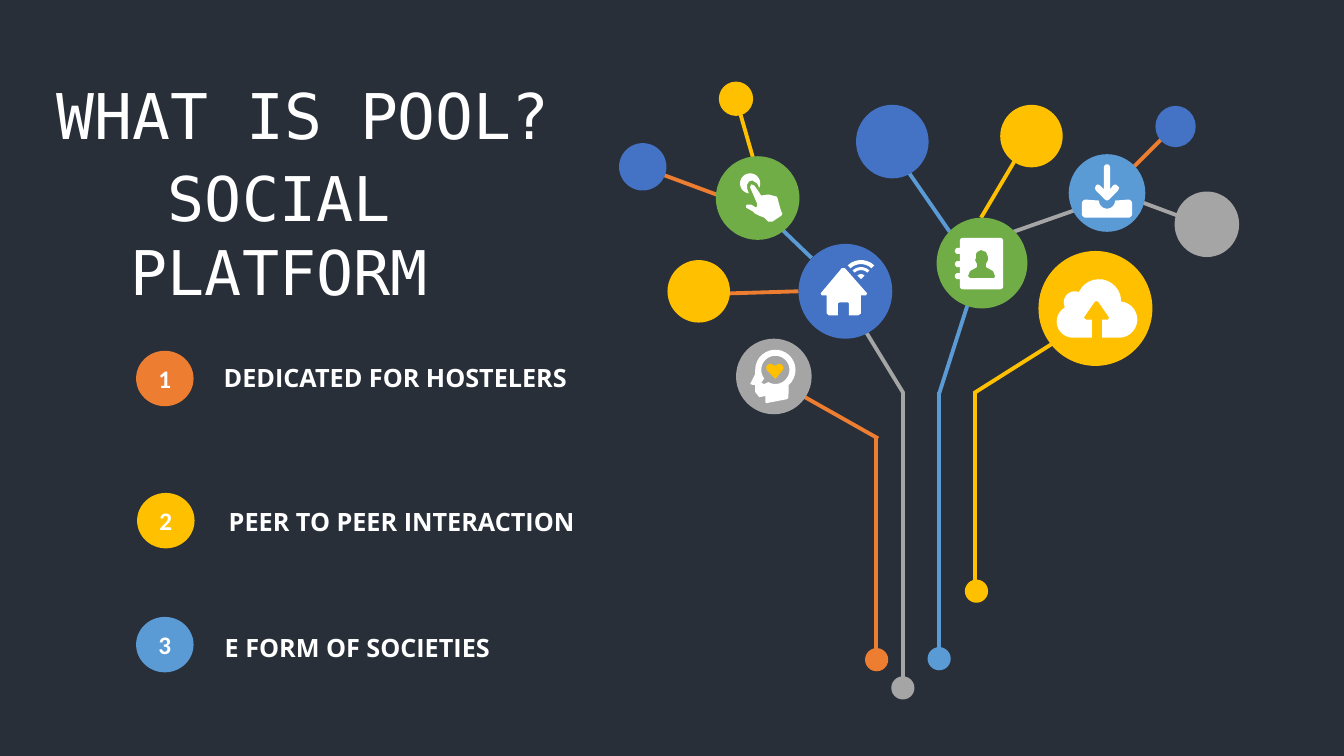
from dataclasses import dataclass
from math import cos, radians, sin

from lxml import etree
from pptx import Presentation
from pptx.dml.color import RGBColor
from pptx.enum import shapes, text
from pptx.oxml import ns
from pptx.util import Pt

PX = 9144  # 100 px to the inch

NIGHT = RGBColor(0x28, 0x2F, 0x39)
WHITE = RGBColor(0xFF, 0xFF, 0xFF)
ORANGE = RGBColor(0xED, 0x7D, 0x31)
YELLOW = RGBColor(0xFF, 0xC0, 0x00)
GREY = RGBColor(0xA5, 0xA5, 0xA5)
SKY = RGBColor(0x5B, 0x9B, 0xD5)
BLUE = RGBColor(0x44, 0x72, 0xC4)
GREEN = RGBColor(0x70, 0xAD, 0x47)

Points = list[tuple[float, float]]


@dataclass
class Branch:
    start: tuple[int, int]
    end: tuple[int, int]
    color: RGBColor


@dataclass
class Node:
    left: int
    top: int
    width: int
    height: int
    color: RGBColor


@dataclass
class Icon:
    outlines: list[Points]
    color: RGBColor = WHITE


@dataclass
class Feature:
    badge: Node
    label: str
    label_box: tuple[int, int, int, int]


# Outline helpers: angles run clockwise from the right
def arc(x: int, y: int, radius: int, start: int, end: int) -> Points:
    steps = max(4, abs(end - start) // 12)
    angles = [radians(start + (end - start) * i / steps) for i in range(steps + 1)]
    return [(x + radius * cos(a), y + radius * sin(a)) for a in angles]


def corners(left: int, top: int, right: int, bottom: int, radius: int) -> list[Points]:
    """Rounded corners, clockwise from the top right."""
    near_x, far_x = left + radius, right - radius
    near_y, far_y = top + radius, bottom - radius
    centers = [(far_x, near_y), (far_x, far_y), (near_x, far_y), (near_x, near_y)]
    return [arc(x, y, radius, 90 * i - 90, 90 * i) for i, (x, y) in enumerate(centers)]


def wave(outer: int, inner: int) -> Points:
    return arc(854, 277, outer, 226, 314) + arc(854, 277, inner, 314, 226)


# Tree
BRANCHES = [
    Branch((1112, 193), (1198, 225), GREY),
    Branch((1125, 165), (1165, 125), ORANGE),
    Branch((805, 256), (751, 204), SKY),
    Branch((869, 652), (869, 433), ORANGE),
    Branch((871, 435), (770, 378), ORANGE),
    Branch((896, 685), (896, 389), GREY),
    Branch((1005, 230), (1096, 198), GREY),
    Branch((931, 652), (931, 389), SKY),
    Branch((931, 392), (971, 267), SKY),
    Branch((967, 584), (967, 389), YELLOW),
    Branch((966, 390), (1088, 313), YELLOW),
    Branch((942, 230), (884, 146), SKY),
    Branch((973, 216), (1018, 140), YELLOW),
    Branch((841, 300), (896, 390), GREY),
    Branch((792, 289), (693, 292), ORANGE),
    Branch((724, 198), (635, 165), ORANGE),
    Branch((730, 98), (751, 171), YELLOW),
]
NODES = [
    Node(858, 643, 23, 23, ORANGE),
    Node(884, 671, 23, 23, GREY),
    Node(920, 642, 23, 23, SKY),
    Node(957, 575, 23, 23, YELLOW),
    Node(929, 216, 90, 90, GREEN),
    Node(1030, 249, 113, 114, YELLOW),
    Node(792, 242, 93, 94, BLUE),
    Node(730, 336, 75, 75, GREY),
    Node(1060, 153, 76, 77, SKY),
    Node(849, 104, 72, 73, BLUE),
    Node(1146, 105, 40, 41, BLUE),
    Node(1165, 190, 64, 65, GREY),
    Node(713, 81, 34, 34, YELLOW),
    Node(662, 258, 62, 62, YELLOW),
    Node(614, 142, 47, 47, BLUE),
    Node(992, 104, 62, 62, YELLOW),
    Node(710, 155, 83, 83, GREEN),
]

# Icons
book_tr, book_br, book_bl, book_tl = corners(952, 236, 995, 287, 3)
book_tabs = [(x, y + dy) for y in (271, 259, 246)
             for x, dy in ((952, 6), (949, 6), (947, 4), (947, 2), (949, 0), (952, 0))]
contact = [(987, 274), (986, 276), (962, 276), (960, 274), (962, 269), (969, 265),
           (969, 262), (967, 258), (968, 256), (968, 252), (969, 250), (973, 248),
           (978, 250), (980, 255), (980, 258), (978, 262), (978, 265), (985, 269)]
cloud = (arc(1064, 319, 16, 90, 240) + arc(1066, 300, 11, 180, 295)
         + arc(1090, 299, 22, 205, 355) + arc(1110, 317, 18, 275, 450))
upload_arrow = [(1093, 335), (1093, 317), (1099, 317), (1100, 315), (1089, 299),
                (1086, 299), (1075, 315), (1077, 317), (1083, 317), (1083, 335)]
house = [(860, 291), (838, 266), (835, 266), (814, 291), (815, 293), (820, 293),
         (820, 311), (822, 313), (831, 313), (831, 301), (833, 300), (841, 300),
         (842, 301), (842, 313), (851, 313), (854, 311), (854, 293), (859, 293)]
head = arc(769, 367, 20, 180, 409) + [
    (782, 394), (781, 396), (760, 400), (759, 399), (759, 393), (753, 394),
    (749, 389), (749, 382), (747, 382), (744, 381), (745, 379), (749, 371)]
thought = arc(769, 367, 14, 142, 480) + [(758, 381), (755, 380)]
heart = arc(764, 365, 4, 130, 320) + arc(773, 365, 4, 220, 410) + [(769, 376)]
tray = sum(corners(1073, 198, 1123, 216, 4), []) + arc(1098, 199, 8, 180, 0)
download_arrow = [(1104, 184), (1101, 188)] + arc(1098, 166, 3, 360, 180) + [
    (1095, 188), (1091, 184), (1089, 183), (1087, 184), (1086, 187), (1087, 189),
    (1096, 198), (1098, 199), (1100, 198), (1109, 189), (1110, 186), (1108, 184),
    (1106, 183)]
touch_ring = arc(744, 182, 10, 98, 392) + [
    (753, 186), (751, 182), (746, 179), (743, 180), (741, 183), (741, 187), (742, 190)]
hand = [(776, 212), (775, 214), (766, 220), (762, 220), (758, 216), (753, 214),
        (749, 212), (747, 210), (740, 206), (740, 204), (741, 203), (745, 203),
        (750, 206), (751, 204), (751, 202), (744, 186), (745, 183), (748, 184),
        (751, 188), (755, 194), (762, 193), (770, 195), (771, 196), (774, 207),
        (775, 210)]
ICONS = [
    Icon([book_tr + book_br + book_bl + book_tabs + book_tl, contact]),
    Icon([cloud + upload_arrow]),
    Icon([house]),
    Icon([wave(19, 15), wave(12, 9), arc(854, 277, 5, 226, 314) + [(854, 277)]]),
    Icon([head, thought]),
    Icon([heart], YELLOW),
    Icon([tray]),
    Icon([download_arrow]),
    Icon([touch_ring]),
    Icon([hand]),
]

FEATURES = [
    Feature(Node(135, 348, 57, 55, ORANGE), "DEDICATED FOR HOSTELERS", (212, 355, 364, 40)),
    Feature(Node(136, 489, 57, 55, YELLOW), "PEER TO PEER INTERACTION", (217, 497, 382, 40)),
    Feature(Node(135, 612, 57, 55, SKY), "E FORM OF SOCIETIES", (213, 622, 290, 40)),
]


def paint(shape, color: RGBColor) -> None:
    shape.shadow.inherit = False
    shape.fill.solid()
    shape.fill.fore_color.rgb = color
    shape.line.fill.background()


def draw_branch(slide, branch: Branch) -> None:
    ends = [v * PX for v in branch.start + branch.end]
    line = slide.shapes.add_connector(shapes.MSO_CONNECTOR.STRAIGHT, *ends)
    line.line.color.rgb = branch.color
    line.line.width = Pt(2.75)
    etree.SubElement(line._element.spPr, ns.qn("a:effectLst"))


def draw_node(slide, node: Node):
    box = [v * PX for v in (node.left, node.top, node.width, node.height)]
    circle = slide.shapes.add_shape(shapes.MSO_SHAPE.OVAL, *box)
    paint(circle, node.color)
    return circle


def draw_icon(slide, icon: Icon) -> None:
    contours = [[(x * PX, y * PX) for x, y in outline] for outline in icon.outlines]
    builder = slide.shapes.build_freeform(*contours[0][0])
    for i, contour in enumerate(contours):
        if i:
            builder.move_to(*contour[0])
        builder.add_line_segments(contour[1:], close=True)
    paint(builder.convert_to_shape(), icon.color)


def write(shape, words: str, font: str, size: int, align, bold: bool = False,
          anchor=text.MSO_ANCHOR.TOP) -> None:
    frame = shape.text_frame
    frame.word_wrap = True
    frame.auto_size = text.MSO_AUTO_SIZE.NONE
    frame.vertical_anchor = anchor
    frame.text = words
    paragraph = frame.paragraphs[0]
    paragraph.alignment = align
    paragraph.space_before = Pt(0)
    paragraph.font.name = font
    paragraph.font.size = Pt(size)
    paragraph.font.bold = bold
    paragraph.font.color.rgb = WHITE


def place(shape, left: int, top: int, width: int, height: int) -> None:
    shape.left, shape.top = left * PX, top * PX
    shape.width, shape.height = width * PX, height * PX


def main() -> None:
    deck = Presentation()
    deck.slide_width, deck.slide_height = 1333 * PX, 750 * PX
    slide = deck.slides.add_slide(deck.slide_layouts[0])
    slide.background.fill.solid()
    slide.background.fill.fore_color.rgb = NIGHT

    # Headings
    question, answer = slide.placeholders
    place(question, 46, 71, 553, 86)
    write(question, "WHAT IS POOL?", "DejaVu Sans Mono", 45, text.PP_ALIGN.LEFT)
    place(answer, 20, 154, 514, 158)
    write(answer, "SOCIAL PLATFORM", "DejaVu Sans Mono", 44, text.PP_ALIGN.CENTER)

    # Tree with its icons
    for branch in BRANCHES:
        draw_branch(slide, branch)
    for node in NODES:
        draw_node(slide, node)
    for icon in ICONS:
        draw_icon(slide, icon)

    # Numbered features
    for number, feature in enumerate(FEATURES, 1):
        badge = draw_node(slide, feature.badge)
        write(badge, str(number), "Calibri", 18, text.PP_ALIGN.CENTER, True,
              text.MSO_ANCHOR.MIDDLE)
        label = slide.shapes.add_textbox(*[v * PX for v in feature.label_box])
        write(label, feature.label, "Open Sans", 18, text.PP_ALIGN.JUSTIFY, True)

    deck.save("out.pptx")


if __name__ == "__main__":
    main()
